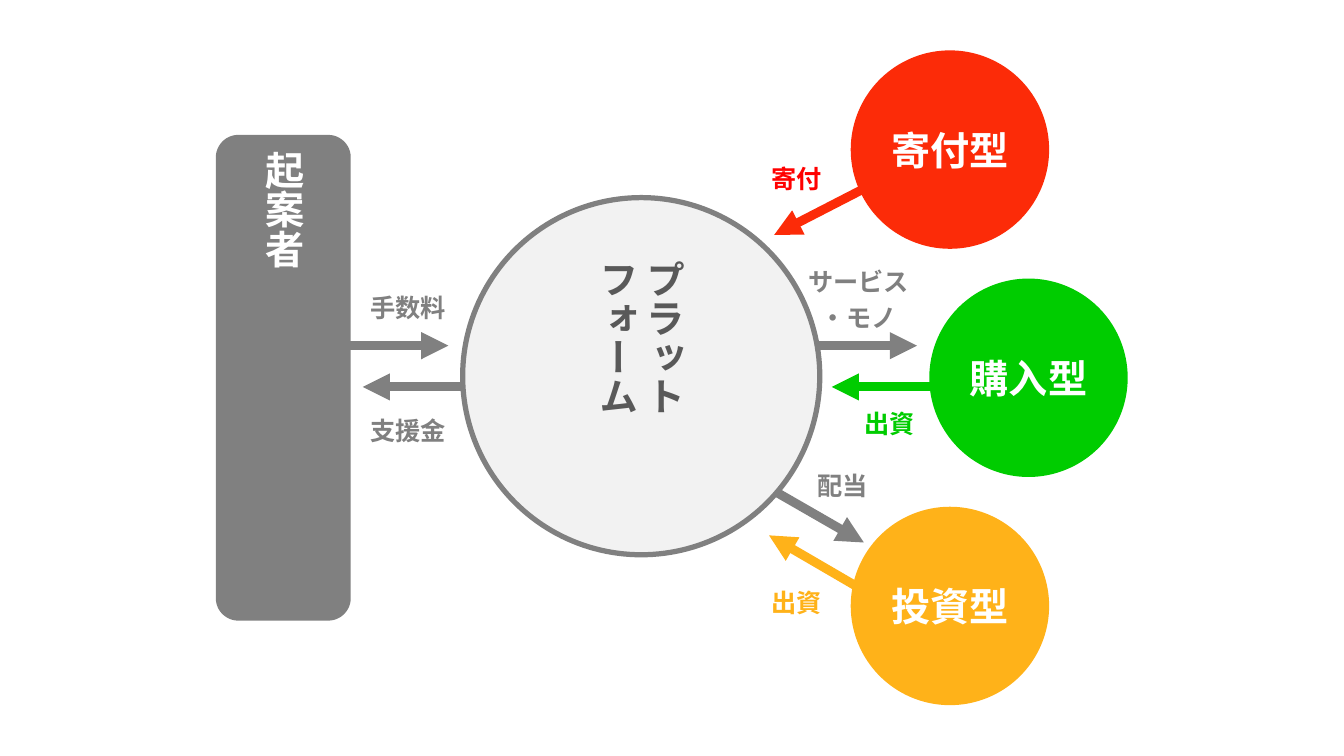
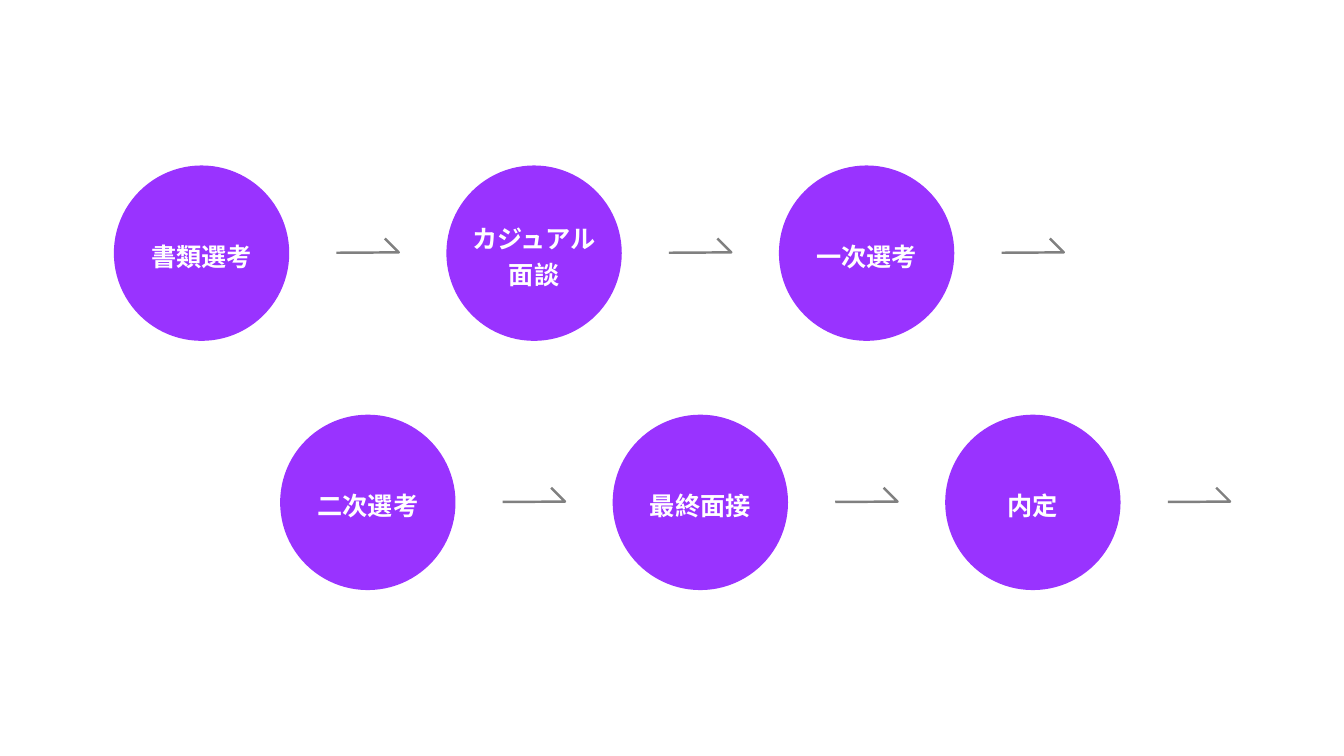
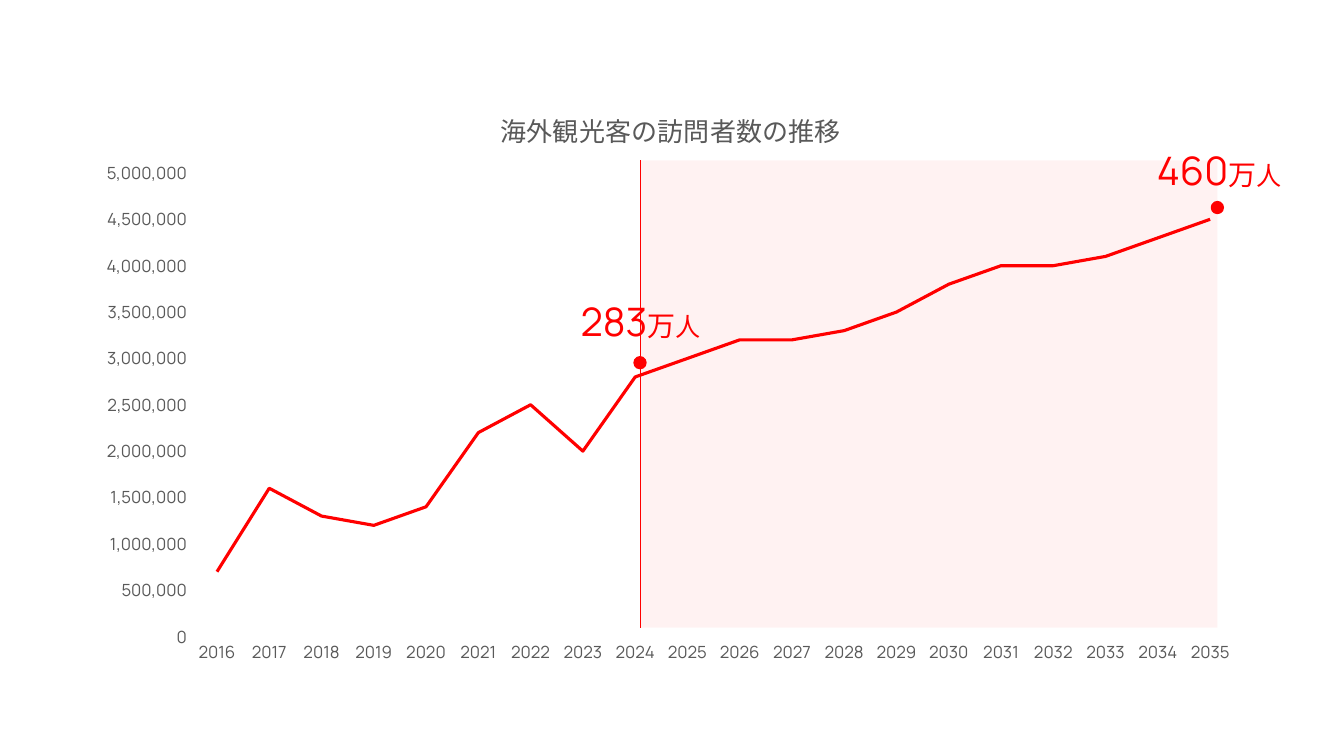
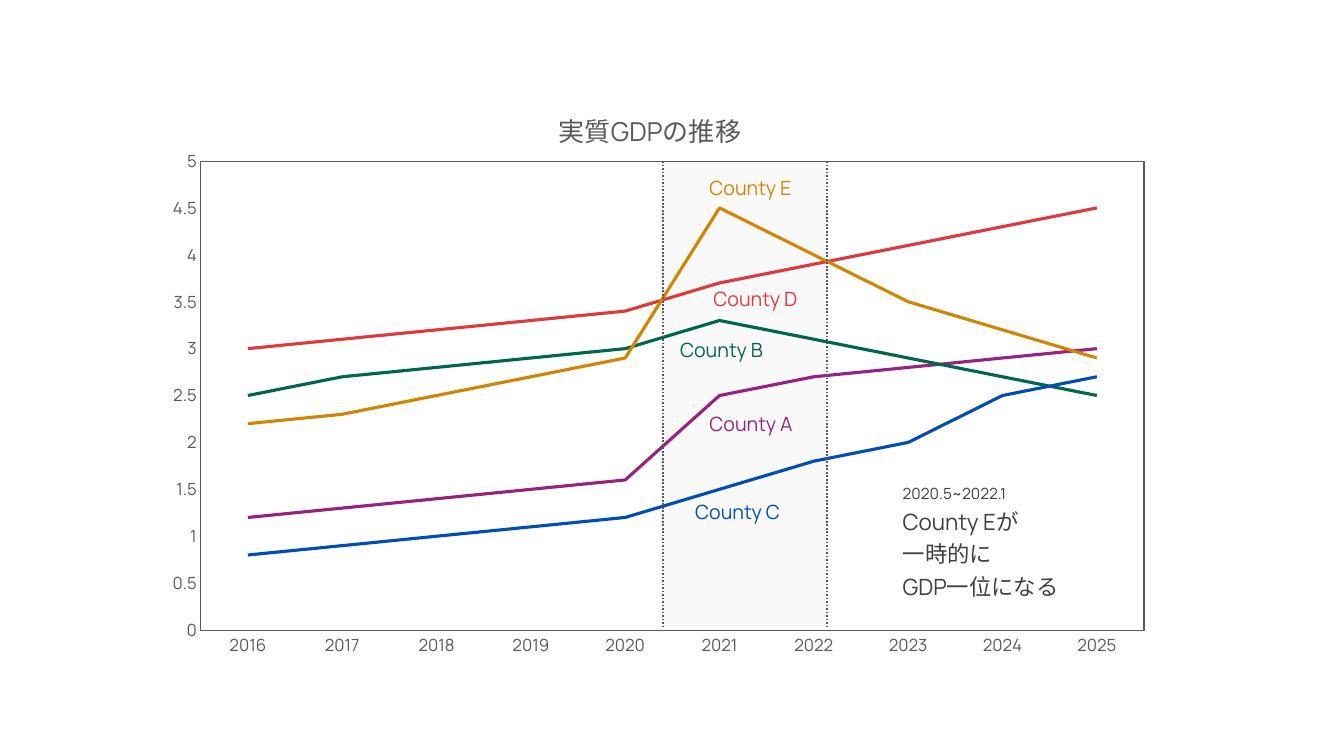
from copy import deepcopy

from lxml.etree import SubElement
from pptx import Presentation
from pptx.chart.data import CategoryChartData
from pptx.dml.color import RGBColor
from pptx.enum.chart import XL_CHART_TYPE as CHART, XL_TICK_MARK as TICK
from pptx.enum.dml import MSO_LINE as DASH
from pptx.enum.shapes import MSO_CONNECTOR as CONN, MSO_SHAPE as SHAPE
from pptx.enum.text import MSO_ANCHOR as ANCHOR, MSO_AUTO_SIZE as AUTO, PP_ALIGN as ALIGN
from pptx.oxml import parse_xml
from pptx.oxml.ns import nsdecls, qn
from pptx.util import Cm, Pt

WHITE = RGBColor(0xFF, 0xFF, 0xFF)
PALE = RGBColor(0xF2, 0xF2, 0xF2)
LIGHT = RGBColor(0xD9, 0xD9, 0xD9)
GRAY = RGBColor(0x80, 0x80, 0x80)
DARK = RGBColor(0x59, 0x59, 0x59)
INK = RGBColor(0x40, 0x40, 0x40)
RED = RGBColor(0xFF, 0x00, 0x00)
VERMILION = RGBColor(0xFC, 0x2B, 0x08)
GREEN = RGBColor(0x00, 0xCC, 0x00)
ORANGE = RGBColor(0xFF, 0xB2, 0x19)
VIOLET = RGBColor(0x99, 0x33, 0xFF)
PURPLE = RGBColor(0x97, 0x22, 0x81)
FOREST = RGBColor(0x00, 0x66, 0x4D)
BLUE = RGBColor(0x00, 0x4E, 0xB3)
CORAL = RGBColor(0xDD, 0x3A, 0x3D)
OCHRE = RGBColor(0xD1, 0x85, 0x05)

JAPANESE = "Noto Sans CJK JP"
LATIN = "Manrope"
HEAVY = {"name": JAPANESE, "size": Pt(28), "bold": True}
STRONG = {"name": JAPANESE, "size": Pt(18), "bold": True}
TITLE = {"name": LATIN, "size": Pt(18.6), "bold": False}
TICKS = {"name": LATIN, "size": Pt(12), "bold": False}
MIDDLE = {"vertical_anchor": ANCHOR.MIDDLE, "word_wrap": True}
UNWRAPPED = {"vertical_anchor": ANCHOR.MIDDLE, "word_wrap": False}
GROWING = {"auto_size": AUTO.SHAPE_TO_FIT_TEXT, "word_wrap": True}


def apply(target, values):
    """Set every attribute in values on target."""
    for name, value in values.items():
        setattr(target, name, value)


def place(box, x, y):
    """Return a point, given in cm from the corner of the box, as lengths."""
    return Cm(box[0] + x), Cm(box[1] + y)


def latin(size):
    """Return the font values of plain text at a size."""
    return {"name": LATIN, "size": Pt(size)}


def write(tf, runs, color, frame=None, align=ALIGN.CENTER, spacing=None):
    """Fill a text frame with one paragraph of (text, font values) runs."""
    apply(tf, frame or {})
    p = tf.paragraphs[0]
    apply(p, {"alignment": align, "line_spacing": spacing})
    for text, font in runs:
        for i, line in enumerate(text.split("\n")):
            if i:
                p.add_line_break()
                br = p._p[-1]
            r = p.add_run()
            r.text = line
            apply(r.font, font)
            r.font.color.rgb = color
            r_pr = r._r.get_or_add_rPr()
            SubElement(r_pr, qn("a:ea"), typeface=JAPANESE)
            if i:
                br.insert(0, deepcopy(r_pr))


def add_block(slide, kind, box, at, size, fill, line=None, width=1, alpha=None):
    """Add a filled preset shape, outlined only when a line colour is given."""
    sp = slide.shapes.add_shape(kind, *place(box, *at), *map(Cm, size))
    sp.shadow.inherit = False
    sp.fill.solid()
    sp.fill.fore_color.rgb = fill
    if alpha:
        clr = sp._element.spPr.find(".//" + qn("a:srgbClr"))
        SubElement(clr, qn("a:alpha"), val=str(alpha * 1000))
    if line is None:
        sp.line.fill.background()
    else:
        sp.line.color.rgb = line
        sp.line.width = Pt(width)
    return sp


def add_label(slide, box, at, size, runs, color, **style):
    """Add a text box that grows with its text."""
    sp = slide.shapes.add_textbox(*place(box, *at), *map(Cm, size))
    write(sp.text_frame, runs, color, GROWING, **style)


def add_line(slide, box, start, end, color, width, arrow=False, dash=None):
    """Add a straight line, with an arrowhead at its start if asked."""
    s = slide.shapes.add_connector(CONN.STRAIGHT, *place(box, *start), *place(box, *end))
    s.line.color.rgb = color
    apply(s.line, {"width": Pt(width), "dash_style": dash})
    if arrow:
        SubElement(s.line._get_or_add_ln(), qn("a:headEnd"), type="triangle")
    SubElement(s._element.spPr, qn("a:effectLst"))


def set_layout(element, index, inner=False, **fractions):
    """Give a chart part a manual layout in fractions of the chart."""
    for old in element.findall(qn("c:layout")):
        element.remove(old)
    layout = parse_xml(f"<c:layout {nsdecls('c')}><c:manualLayout/></c:layout>")
    values = {"layoutTarget": "inner"} if inner else {}
    values |= {"xMode": "edge", "yMode": "edge", **fractions}
    for name, value in values.items():
        SubElement(layout[0], qn("c:" + name), val=str(value))
    element.insert(index, layout)


def shape_props(line):
    """Return chart shape properties without fill, with the given outline."""
    outline = "<a:noFill/>"
    if line is not None:
        outline = f'<a:solidFill><a:srgbClr val="{line}"/></a:solidFill>'
    return parse_xml(f'<c:spPr {nsdecls("c", "a")}><a:noFill/><a:ln w="9525">{outline}</a:ln></c:spPr>')


def add_line_chart(slide, box, title, title_at, years, series, top, fmt, plot, border=None):
    """Add a transparent line chart of (values, colour) series to the box."""
    data = CategoryChartData()
    data.categories = [str(year) for year in years]
    for i, (values, _) in enumerate(series, 1):
        data.add_series(f"Series {i}", values)
    chart = slide.shapes.add_chart(CHART.LINE, *map(Cm, box), data).chart
    apply(chart, {"has_legend": False, "has_title": True})
    apply(chart.font, {"name": JAPANESE, "size": Pt(10)})
    write(chart.chart_title.text_frame, [(title, TITLE)], DARK)
    set_layout(chart.chart_title._element, 1, x=title_at[0], y=title_at[1])

    for axis in (chart.category_axis, chart.value_axis):
        apply(axis, {"major_tick_mark": TICK.NONE, "minor_tick_mark": TICK.NONE,
                     "has_major_gridlines": False})
        axis.format.line.fill.background()
        apply(axis.tick_labels.font, TICKS)
        axis.tick_labels.font.color.rgb = DARK
    apply(chart.value_axis, {"minimum_scale": 0, "maximum_scale": top, "major_unit": top / 10})
    apply(chart.value_axis.tick_labels, {"number_format": fmt, "number_format_is_linked": False})

    chart.plots[0].vary_by_categories = False
    for s, (_, color) in zip(chart.plots[0].series, series):
        s.smooth = False
        s.format.line.color.rgb = color
        s.format.line.width = Pt(2.25)

    chart_el = chart._chartSpace.chart
    chart_el.addnext(shape_props(None))
    chart_el.plotArea.append(shape_props(border))
    set_layout(chart_el.plotArea, 0, inner=True, **dict(zip("xywh", plot)))


def funding_slide(slide, box):
    """Draw the founder, the platform and three kinds of funder."""
    founder = add_block(slide, SHAPE.ROUNDED_RECTANGLE, box, (0, 2.13), (3.4, 12.24), GRAY)
    funders = [("寄付型", 16, VERMILION), ("購入型", 17.98, GREEN), ("投資型", 16, ORANGE)]
    for i, (name, x, color) in enumerate(funders):
        sp = add_block(slide, SHAPE.OVAL, box, (x, i * 5.75), (5, 5), color)
        write(sp.text_frame, [(name, HEAVY)], WHITE, MIDDLE)

    labels = [
        ("支援金", 2.84, 8.92, 4.01, GRAY),
        ("手数料", 2.84, 5.82, 4.01, GRAY),
        ("寄付", 12.64, 2.57, 4.01, RED),
        ("出資", 14.98, 8.74, 4.01, GREEN),
        ("出資", 12.64, 13.26, 4.01, ORANGE),
        ("サービス\n・モノ", 13.66, 5.16, 5.08, GRAY),
        ("配当", 14.58, 10.31, 2.44, GRAY),
    ]
    for text, x, y, w, color in labels:
        h = 2.03 if "\n" in text else 1.09
        add_label(slide, box, (x, y), (w, h), [(text, STRONG)], color, spacing=1.2)

    platform = add_block(slide, SHAPE.OVAL, box, (6.22, 3.71), (9, 9), PALE, GRAY, 3.75)
    for sp, name, color in ((founder, "起案者", WHITE), (platform, "プラットフォーム", DARK)):
        write(sp.text_frame, [(name, HEAVY)], color, MIDDLE)
        sp.text_frame._txBody.bodyPr.set("vert", "eaVert")

    arrows = [
        ((5.86, 7.44), (3.32, 7.44), GRAY),
        ((3.7, 8.48), (6.24, 8.48), GRAY),
        ((17.67, 7.44), (15.13, 7.44), GRAY),
        ((15.52, 8.48), (18.06, 8.48), GREEN),
        ((14.07, 4.65), (16.4, 3.45), VERMILION),
        ((16.33, 12.4), (14.12, 11.13), GRAY),
        ((13.94, 12.22), (16.12, 13.49), ORANGE),
    ]
    for tip, end, color in arrows:
        add_line(slide, box, tip, end, color, 6.5, arrow=True)


def step(slide, box, name):
    """Draw one round step and the half arrow after it."""
    fb = slide.shapes.build_freeform(*place(box, 5.61, 2.2))
    fb.add_line_segments([place(box, 7.18, 2.19), place(box, 6.83, 1.84)], close=False)
    arrow = fb.convert_to_shape()
    arrow.shadow.inherit = False
    arrow.fill.background()
    arrow.line.color.rgb = GRAY
    arrow.line.width = Pt(1.75)
    sp = add_block(slide, SHAPE.OVAL, box, (0, 0), (4.42, 4.42), VIOLET)
    write(sp.text_frame, [(name, STRONG)], WHITE, UNWRAPPED, spacing=1.2)


def hiring_slide(slide, box):
    """Draw two staggered rows of hiring steps."""
    rows = [("書類選考", "カジュアル\n面談", "一次選考"), ("二次選考", "最終面接", "内定")]
    pitch = 8.38
    for j, names in enumerate(rows):
        for i, name in enumerate(names):
            step(slide, (box[0] + (i + j / 2) * pitch, box[1] + j * 6.28), name)


def visitors_slide(slide, box):
    """Draw the visitor chart with its forecast band and two callouts."""
    add_block(slide, SHAPE.RECTANGLE, box, (14.02, 2.03), (14.55, 11.78), RED, alpha=5)
    visitors = [
        700000, 1600000, 1300000, 1200000, 1400000, 2200000, 2500000,
        2000000, 2800000, 3000000, 3200000, 3200000, 3300000, 3500000,
        3800000, 4000000, 4000000, 4100000, 4300000, 4500000,
    ]
    add_line_chart(slide, box, "海外観光客の訪問者数の推移", (0.35, 0.04), range(2016, 2036),
                   [(visitors, RED)], 5000000, "#,##0", (0.091, 0.156, 0.888, 0.776))
    add_line(slide, box, (14.02, 2.03), (14.02, 13.81), RED, 0.5)
    callouts = [("283", (13.87, 6.98), (11.71, 5.36)), ("460", (28.42, 3.07), (26.29, 1.55))]
    for number, dot, label in callouts:
        add_block(slide, SHAPE.OVAL, box, dot, (0.3, 0.3), RED, RED)
        runs = [(number, latin(28)), ("万", latin(20)), ("人", latin(18))]
        add_label(slide, box, label, (4.65, 1.45), runs, RED)


def gdp_slide(slide, box):
    """Draw the GDP chart with its marked period, labels and note."""
    left, top, width, height = 12.95, 2.05, 4.14, 11.75
    add_block(slide, SHAPE.RECTANGLE, box, (left, top), (width, height), LIGHT, alpha=15)
    counties = [
        ("A", (13.87, 8.25), PURPLE, (1.2, 1.3, 1.4, 1.5, 1.6, 2.5, 2.7, 2.8, 2.9, 3)),
        ("B", (13.13, 6.37), FOREST, (2.5, 2.7, 2.8, 2.9, 3, 3.3, 3.1, 2.9, 2.7, 2.5)),
        ("C", (13.51, 10.46), BLUE, (0.8, 0.9, 1, 1.1, 1.2, 1.5, 1.8, 2, 2.5, 2.7)),
        ("D", (13.97, 5.1), CORAL, (3, 3.1, 3.2, 3.3, 3.4, 3.7, 3.9, 4.1, 4.3, 4.5)),
        ("E", (13.87, 2.31), OCHRE, (2.2, 2.3, 2.5, 2.7, 2.9, 4.5, 4, 3.5, 3.2, 2.9)),
    ]
    add_line_chart(slide, box, "実質GDPの推移", (0.4, 0.04), range(2016, 2026),
                   [(values, color) for _, _, color, values in counties], 5, "General",
                   (0.051, 0.136, 0.933, 0.785), DARK)
    for letter, at, color, _ in counties:
        add_label(slide, box, at, (2.95, 0.86), [(f"County {letter}", latin(14))], color,
                  align=ALIGN.LEFT)
    for x in (left, left + width):
        add_line(slide, box, (x, top), (x, top + height), DARK, 1.25, dash=DASH.ROUND_DOT)
    note = [("2020.5~2022.1", latin(11)), ("\nCounty Eが\n一時的に\nGDP一位になる", latin(16))]
    add_label(slide, box, (18.74, 9.98), (5.87, 3.23), note, INK, align=ALIGN.LEFT, spacing=1.2)


def main():
    """Build and save the four slides."""
    prs = Presentation()
    apply(prs, {"slide_width": Cm(33.87), "slide_height": Cm(19.05)})
    pages = [
        (funding_slide, (5.44, 1.27)),
        (hiring_slide, (2.87, 4.17)),
        (visitors_slide, (2.11, 2.01, 29.67, 15.06)),
        (gdp_slide, (3.76, 2.01, 25.48, 15.06)),
    ]
    for draw, box in pages:
        draw(prs.slides.add_slide(prs.slide_layouts[6]), box)
    prs.save("out.pptx")


if __name__ == "__main__":
    main()
